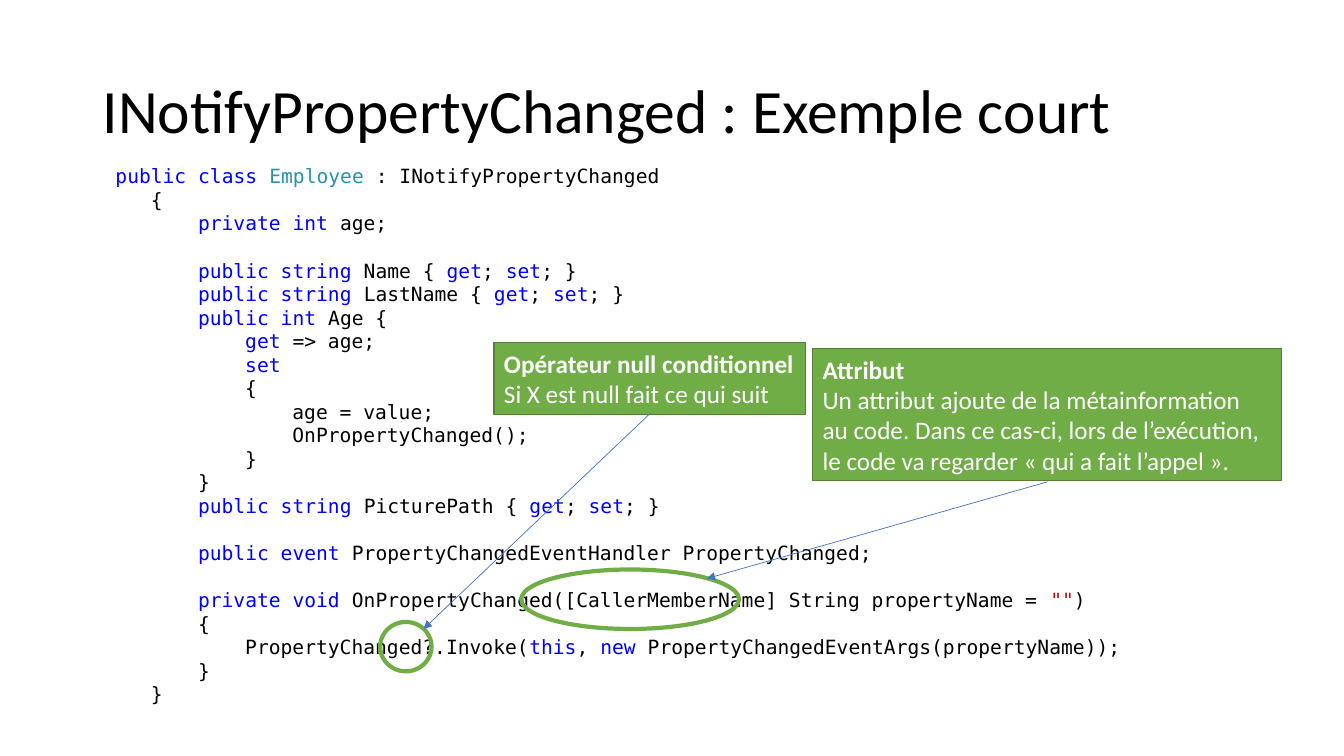
from pptx import Presentation
from pptx.dml.color import RGBColor
from pptx.enum.shapes import MSO_CONNECTOR, MSO_SHAPE
from pptx.enum.text import MSO_ANCHOR, PP_ALIGN
from pptx.oxml.ns import qn
from pptx.util import Inches, Pt
from lxml.etree import SubElement

COLORS = {"text": "000000", "keyword": "0000FF", "type": "2B91AF", "string": "A31515",
          "green": "70AD47", "border": "538035", "arrow": "4472C4", "white": "FFFFFF"}
KEYWORDS = {"public", "private", "class", "int", "string", "get", "set",
            "event", "void", "this", "new"}
SPECIAL = {"Employee": "type", '""': "string"}
CHAR_WIDTH = 0.117  # one 14 pt code character
CODE_LINE = 16.9    # points per code line


def rgb(name):
    return RGBColor.from_string(COLORS[name])


def add_run(p, text, color, **font):
    r = p.add_run()
    r.text = text
    r.font.color.rgb = rgb(color)
    for key, value in font.items():
        setattr(r.font, key, value)


prs = Presentation()
prs.slide_width, prs.slide_height = Inches(13.33), Inches(7.5)
s = prs.slides.add_slide(prs.slide_layouts[6])

# Title
tf = s.shapes.add_textbox(Inches(0.92), Inches(0.4), Inches(11.5), Inches(1.45)).text_frame
tf.word_wrap = True
tf.vertical_anchor = MSO_ANCHOR.MIDDLE
p = tf.paragraphs[0]
p.line_spacing = 0.9
add_run(p, "INotifyPropertyChanged : Exemple court", "text", name="Calibri", size=Pt(44))

# Code: indent in characters, blank lines above, text with "|" between colours
code = [
    (1, 0, "public class |Employee| : INotifyPropertyChanged"),
    (4, 0, "{"),
    (8, 0, "private int |age;"),
    (8, 1, "public string| Name { |get|; |set|; }"),
    (8, 0, "public string |LastName { |get|; |set|; }"),
    (8, 0, "public int| Age {"),
    (12, 0, "get| => age;"),
    (12, 0, "set"),
    (12, 0, "{"),
    (16, 0, "age = value;"),
    (16, 0, "OnPropertyChanged();"),
    (12, 0, "}"),
    (8, 0, "}"),
    (8, 0, "public string |PicturePath { |get|; |set|; }"),
    (8, 1, "public event |PropertyChangedEventHandler PropertyChanged;"),
    (8, 1, 'private void |OnPropertyChanged([CallerMemberName] String propertyName = |""|)'),
    (8, 0, "{"),
    (12, 0, "PropertyChanged?.Invoke(|this|, |new |PropertyChangedEventArgs(propertyName));"),
    (8, 0, "}"),
    (4, 0, "}"),
]
tf = s.shapes.add_textbox(Inches(0.93), Inches(1.58), Inches(12.41), Inches(5.52)).text_frame
tf.word_wrap = True
for i, (indent, blanks, line) in enumerate(code):
    p = tf.add_paragraph() if i else tf.paragraphs[0]
    p.space_before = Pt(blanks * CODE_LINE)
    pPr = p._p.get_or_add_pPr()
    pPr.set("marL", str(Inches(indent * CHAR_WIDTH)))
    pPr.set("indent", "0")
    for part in line.split("|"):
        color = "keyword" if set(part.split()) <= KEYWORDS else SPECIAL.get(part, "text")
        add_run(p, part, color, name="DejaVu Sans Mono", size=Pt(14))

# Callouts: ring around the code, green box, arrow from box to ring
callouts = [
    {"ring": (3.77, 6.17, 0.51, 0.49), "box": (4.9, 3.4, 3.09, 0.71),
     "arrow": (6.45, 4.1, 4.2, 6.24),
     "lines": ["Opérateur null conditionnel", "Si X est null fait ce qui suit"]},
    {"ring": (5.17, 5.65, 2.16, 0.59), "box": (8.06, 3.46, 4.65, 1.31),
     "arrow": (10.39, 4.78, 7.01, 5.74),
     "lines": ["Attribut", "Un attribut ajoute de la métainformation",
               "au code. Dans ce cas-ci, lors de l’exécution,",
               "le code va regarder «\u00a0qui a fait l’appel\u00a0»."]},
]
for c in callouts:
    ring = s.shapes.add_shape(MSO_SHAPE.OVAL, *map(Inches, c["ring"]))
    ring.fill.background()
    box = s.shapes.add_shape(MSO_SHAPE.RECTANGLE, *map(Inches, c["box"]))
    box.fill.solid()
    box.fill.fore_color.rgb = rgb("green")
    for shape, color, width in ((ring, "green", 3), (box, "border", 1)):
        shape.shadow.inherit = False
        shape.line.color.rgb = rgb(color)
        shape.line.width = Pt(width)

    tf = box.text_frame
    tf.word_wrap = False
    for i, line in enumerate(c["lines"]):
        p = tf.add_paragraph() if i else tf.paragraphs[0]
        p.alignment = PP_ALIGN.LEFT
        add_run(p, line, "white", name="Calibri", size=Pt(18), bold=i == 0)

    arrow = s.shapes.add_connector(MSO_CONNECTOR.STRAIGHT, *map(Inches, c["arrow"]))
    arrow.line.color.rgb = rgb("arrow")
    arrow.line.width = Pt(0.5)
    SubElement(arrow.line._get_or_add_ln(), qn("a:tailEnd"), type="triangle")
    SubElement(arrow._element.spPr, qn("a:effectLst"))

prs.save("out.pptx")
